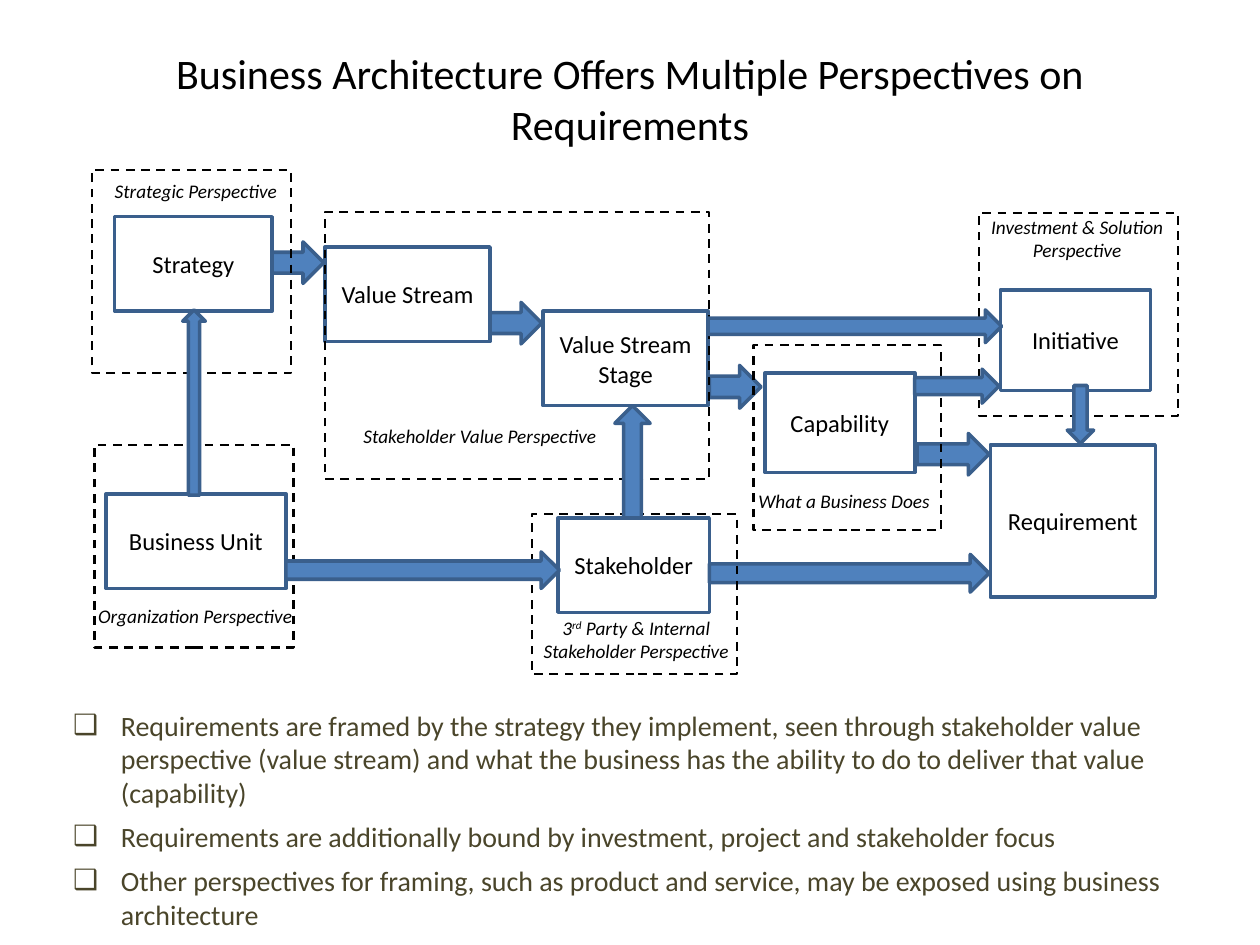
from lxml.etree import SubElement
from pptx import Presentation
from pptx.dml.color import RGBColor
from pptx.enum.dml import MSO_LINE
from pptx.enum.shapes import MSO_SHAPE
from pptx.enum.text import MSO_ANCHOR, MSO_AUTO_SIZE, PP_ALIGN
from pptx.oxml.ns import qn
from pptx.util import Inches, Pt


def style_text(frame, size, color="000000", italic=False, align=PP_ALIGN.CENTER):
    frame.word_wrap = True
    for paragraph in frame.paragraphs:
        paragraph.alignment = align
        for run in paragraph.runs:
            run.font.name = "Calibri"
            run.font.size = Pt(size)
            run.font.italic = italic
            run.font.color.rgb = RGBColor.from_string(color)


def add_outlined(preset, place, line, width, fill=None):
    shape = slide.shapes.add_shape(preset, *map(Inches, place))
    shape.shadow.inherit = False
    shape.line.color.rgb = RGBColor.from_string(line)
    shape.line.width = Pt(width)
    if fill:
        shape.fill.solid()
        shape.fill.fore_color.rgb = RGBColor.from_string(fill)
    else:
        shape.fill.background()
    return shape


BLUE = "4F81BD"
DARK_BLUE = "3A5F8C"
RIGHT, UP, DOWN = MSO_SHAPE.RIGHT_ARROW, MSO_SHAPE.UP_ARROW, MSO_SHAPE.DOWN_ARROW

deck = Presentation()
deck.slide_width, deck.slide_height = Inches(10), Inches(7.5)
slide = deck.slides.add_slide(deck.slide_layouts[1])

title = slide.shapes.title
title.left, title.top, title.width, title.height = map(Inches, (0.69, 0.33, 8.62, 0.59))
title.text_frame.text = "Business Architecture Offers Multiple Perspectives on Requirements"
title.text_frame.auto_size = MSO_AUTO_SIZE.NONE
title.text_frame.vertical_anchor = MSO_ANCHOR.TOP
style_text(title.text_frame, 24)

points = [
    "Requirements are framed by the strategy they implement, seen through stakeholder value "
    "perspective (value stream) and what the business has the ability to do to deliver that "
    "value (capability)",
    "Requirements are additionally bound by investment, project and stakeholder focus",
    "Other perspectives for framing, such as product and service, may be exposed using "
    "business architecture",
]
body = slide.placeholders[1]
body.left, body.top, body.width, body.height = map(Inches, (0.48, 5.57, 9.27, 1.83))
body.text_frame.text = "\n".join(points)
body.text_frame.auto_size = MSO_AUTO_SIZE.NONE
for index, point in enumerate(body.text_frame.paragraphs):
    properties = point._p.get_or_add_pPr()
    properties.set("marL", str(Inches(0.38)))
    properties.set("indent", str(Inches(-0.38)))
    SubElement(properties, qn("a:buChar"), char="❑")
    point.space_before = Pt(6 if index else 0)
style_text(body.text_frame, 16, "4A452A", align=PP_ALIGN.LEFT)

concepts = [
    ("Strategy", (0.91, 1.72, 1.25, 0.75)),
    ("Business Unit", (0.84, 3.92, 1.43, 0.75)),
    ("Value Stream", (2.58, 1.96, 1.31, 0.75)),
    ("Value Stream Stage", (4.31, 2.47, 1.31, 0.75)),
    ("Stakeholder", (4.43, 4.11, 1.2, 0.75)),
    ("Capability", (6.07, 2.96, 1.19, 0.79)),
    ("Initiative", (7.94, 2.3, 1.19, 0.8)),
    ("Requirement", (7.86, 3.53, 1.31, 1.21)),
]
for name, place in concepts:
    concept = add_outlined(MSO_SHAPE.RECTANGLE, place, DARK_BLUE, 2)
    concept.text_frame.text = name
    concept.text_frame.vertical_anchor = MSO_ANCHOR.MIDDLE
    style_text(concept.text_frame, 14)

# Some flows pass behind the dashed perspective frames, the others in front
flows_behind = [
    (RIGHT, (2.16, 1.92, 0.41, 0.33)),
    (RIGHT, (3.89, 2.4, 0.41, 0.33)),
    (RIGHT, (5.63, 2.9, 0.41, 0.34)),
    (RIGHT, (7.28, 3.44, 0.57, 0.33)),
    (RIGHT, (5.63, 4.4, 2.22, 0.3)),
]
flows_in_front = [
    (UP, (4.88, 3.22, 0.28, 0.89)),
    (UP, (1.45, 2.46, 0.18, 1.47)),
    (DOWN, (8.47, 3.06, 0.21, 0.46)),
    (RIGHT, (5.62, 2.46, 2.33, 0.26)),
    (RIGHT, (7.26, 2.93, 0.67, 0.27)),
    (RIGHT, (2.27, 4.38, 2.17, 0.29)),
]
perspectives = [
    ("Strategic Perspective", (0.73, 1.35, 1.58, 1.61), (0.71, 1.37, 1.69, 0.29)),
    ("Organization Perspective", (0.75, 3.53, 1.58, 1.61), (0.48, 4.75, 2.14, 0.29)),
    ("Stakeholder Value Perspective", (2.58, 1.68, 3.05, 2.12), (2.74, 3.32, 2.14, 0.29)),
    ("3rd Party & Internal Stakeholder Perspective",
     (4.22, 4.08, 1.63, 1.27), (4.02, 4.84, 2.06, 0.47)),
    ("What a Business Does", (5.98, 2.74, 1.49, 1.47), (5.63, 3.83, 2.14, 0.29)),
    ("Investment & Solution\nPerspective", (7.77, 1.69, 1.58, 1.61), (7.48, 1.66, 2.14, 0.47)),
]
for arrow, place in flows_behind:
    add_outlined(arrow, place, DARK_BLUE, 2, BLUE)
for _, frame_place, _ in perspectives:
    frame = add_outlined(MSO_SHAPE.RECTANGLE, frame_place, "000000", 1.25)
    frame.line.dash_style = MSO_LINE.DASH
for arrow, place in flows_in_front:
    add_outlined(arrow, place, DARK_BLUE, 2, BLUE)

for name, _, label_place in perspectives:
    label = slide.shapes.add_textbox(*map(Inches, label_place))
    label.text_frame.text = name
    if name.startswith("3rd"):
        ordinal = label.text_frame.paragraphs[0]
        ordinal.text = "3"
        suffix = ordinal.add_run()
        suffix.text = "rd"
        suffix.font._element.set("baseline", "30000")
        ordinal.add_run().text = name.removeprefix("3rd")
    style_text(label.text_frame, 11, italic=True)

deck.save("out.pptx")
